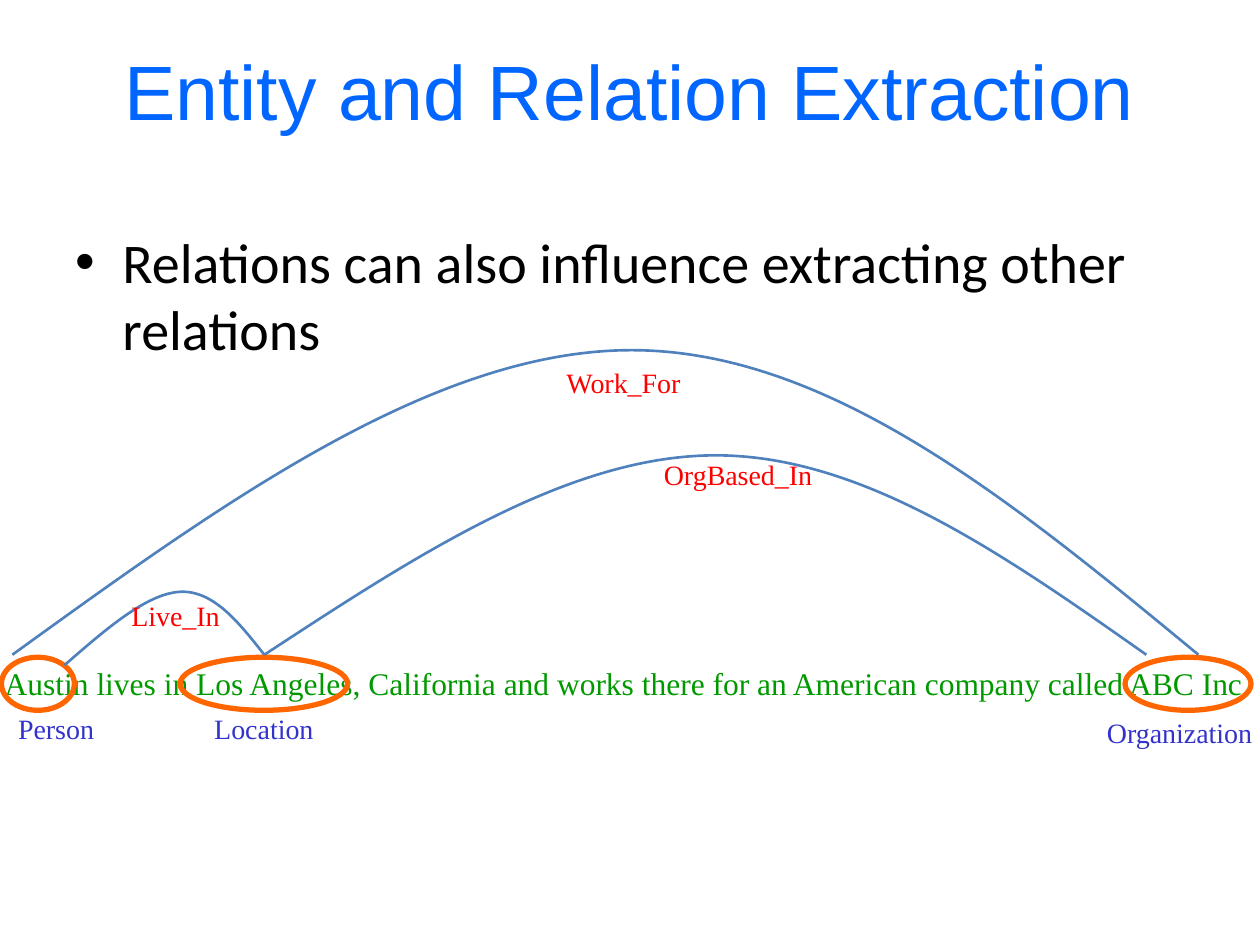
from pptx import Presentation
from pptx.dml.color import RGBColor
from pptx.enum.shapes import MSO_SHAPE
from pptx.enum.text import MSO_ANCHOR, PP_ALIGN
from pptx.oxml import parse_xml
from pptx.oxml.ns import nsdecls, qn
from pptx.util import Cm, Pt

OVAL = MSO_SHAPE.OVAL
TOP, MID = MSO_ANCHOR.TOP, MSO_ANCHOR.MIDDLE
LEFT, CENTER = PP_ALIGN.LEFT, PP_ALIGN.CENTER

BLUE = RGBColor(0x00, 0x66, 0xFF)
BLACK = RGBColor(0x00, 0x00, 0x00)
GREEN = RGBColor(0x00, 0x99, 0x00)
ORANGE = RGBColor(0xFF, 0x66, 0x00)
INDIGO = RGBColor(0x33, 0x33, 0xCC)
RED = RGBColor(0xFF, 0x00, 0x00)
STEEL = RGBColor(0x4F, 0x81, 0xBD)

SERIF = "Times New Roman"


def middle(a, b):
    return tuple((p + q) / 2 for p, q in zip(a, b))


def soften(shape):
    """Turn each three line segments of a freeform into one cubic curve."""
    lines = list(shape._element.iter(qn("a:lnTo")))
    for i in range(0, len(lines), 3):
        curve = parse_xml(f'<a:cubicBezTo {nsdecls("a")}/>')
        lines[i].addprevious(curve)
        for line in lines[i:i + 3]:
            curve.append(line[0])
            line.getparent().remove(line)


class Deck:
    def __init__(self):
        self.prs = Presentation()
        self.prs.slide_width = Cm(25.4)
        self.prs.slide_height = Cm(19.05)
        self.slide = self.prs.slides.add_slide(self.prs.slide_layouts[6])

    def text(self, words, box, font, size, color, align=CENTER,
             anchor=MID, wrap=False, bullet=False, inset=0.13):
        frame = self.slide.shapes.add_textbox(*map(Cm, box)).text_frame
        frame.word_wrap = wrap
        frame.vertical_anchor = anchor
        frame.margin_top = Cm(inset)
        para = frame.paragraphs[0]
        para.alignment = align
        if bullet:
            props = para._p.get_or_add_pPr()
            props.set("marL", str(Cm(0.95)))
            props.set("indent", str(Cm(-0.95)))
            props.append(parse_xml(f'<a:buFont {nsdecls("a")} typeface="Arial"/>'))
            props.append(parse_xml(f'<a:buChar {nsdecls("a")} char="•"/>'))
        run = para.add_run()
        run.text = words
        run.font.name = font
        run.font.size = Pt(size)
        run.font.color.rgb = color

    def label(self, words, x, y, width, color):
        """Small caption centred on x, y."""
        box = (x - width / 2, y - 0.47, width, 0.94)
        self.text(words, box, SERIF, 16, color)

    def outline(self, shape, color, width):
        shape.shadow.inherit = False
        shape.fill.background()
        shape.line.color.rgb = color
        shape.line.width = Pt(width)

    def ring(self, x, width):
        shape = self.slide.shapes.add_shape(
            OVAL, Cm(x), Cm(13.25), Cm(width), Cm(1.07))
        self.outline(shape, ORANGE, 3)

    def arc(self, start, peak, end):
        """Smooth curve whose slope at the peak follows the chord."""
        reach = [(e - s) / 6 for s, e in zip(start, end)]
        before = tuple(p - r for p, r in zip(peak, reach))
        after = tuple(p + r for p, r in zip(peak, reach))
        points = [middle(start, before), before, peak,
                  after, middle(after, end), end]
        pen = self.slide.shapes.build_freeform(Cm(start[0]), Cm(start[1]))
        pen.add_line_segments([(Cm(x), Cm(y)) for x, y in points], close=False)
        shape = pen.convert_to_shape()
        soften(shape)
        self.outline(shape, STEEL, 1.5)


def main():
    deck = Deck()
    deck.text("Entity and Relation Extraction", (1.27, 0.22, 22.86, 3.18),
              "Arial", 44, BLUE, wrap=True)
    deck.text("Relations can also influence extracting other relations",
              (1.27, 3.81, 22.86, 14.4), "Calibri", 32, BLACK,
              align=LEFT, anchor=TOP, wrap=True, bullet=True, inset=0.77)
    deck.text("Austin lives in Los Angeles, California and works there "
              "for an American company called ABC Inc.",
              (-0.22, 13.26, 25.76, 1.02), SERIF, 18, GREEN)

    for x, width in ((0.03, 1.47), (3.63, 3.38), (22.68, 2.54)):
        deck.ring(x, width)

    for words, x, y, width in (
        ("Person", 1.13, 14.69, 2.06),
        ("Location", 5.32, 14.69, 2.51),
        ("Organization", 23.78, 14.77, 3.45),
    ):
        deck.label(words, x, y, width, INDIGO)

    place = (5.33, 13.2)
    for start, peak, end in (
        ((1.3, 13.41), (3.63, 11.93), place),
        ((0.25, 13.2), (12.73, 7.06), (24.16, 13.2)),
        (place, (14.43, 9.18), (23.11, 13.2)),
    ):
        deck.arc(start, peak, end)

    for words, x, y, width in (
        ("Work_For", 12.57, 7.71, 2.87),
        ("OrgBased_In", 14.88, 9.56, 3.53),
        ("Live_In", 3.54, 12.41, 2.29),
    ):
        deck.label(words, x, y, width, RED)

    deck.prs.save("out.pptx")


if __name__ == "__main__":
    main()
